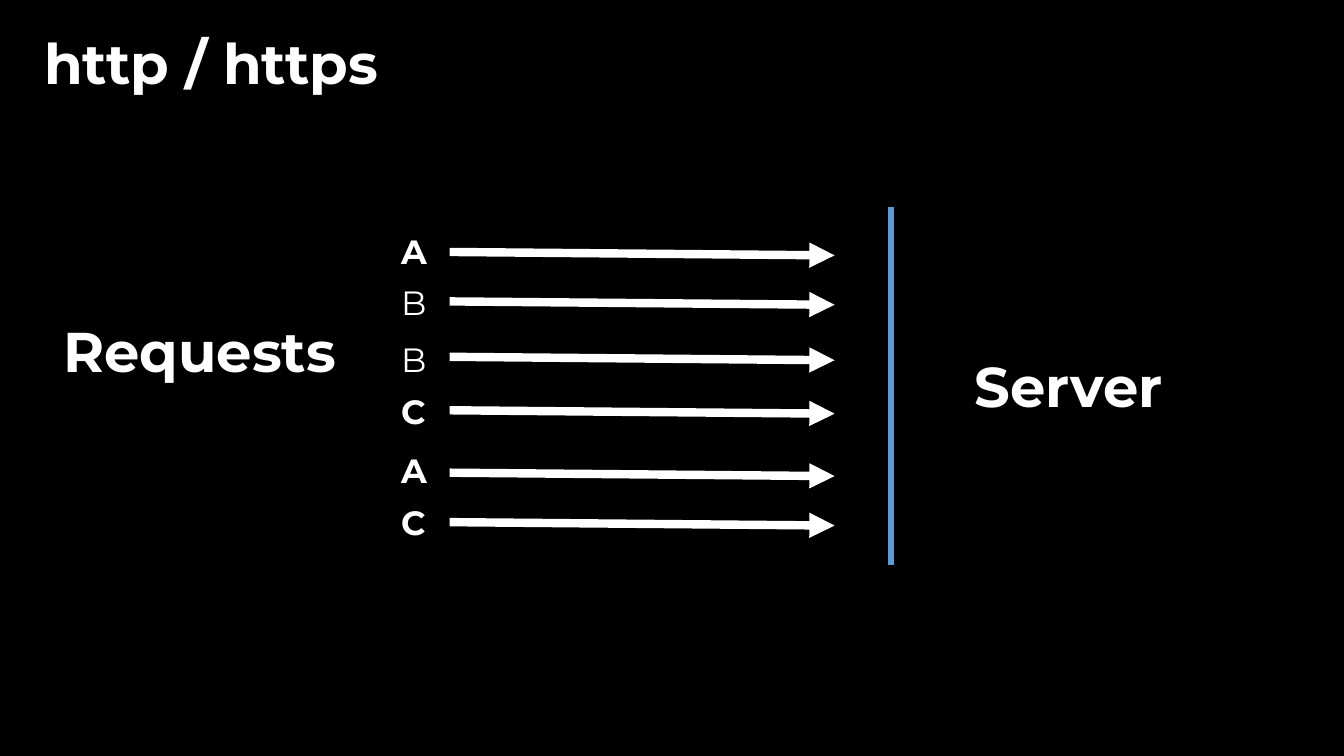
from dataclasses import dataclass

from lxml import etree
from pptx import Presentation, util as u
from pptx.dml.color import RGBColor
from pptx.enum import shapes, text
from pptx.oxml import ns


@dataclass(frozen=True)
class Theme:
    """Colours, font and sizes used on the slide."""
    background: RGBColor = RGBColor(0, 0, 0)
    ink: RGBColor = RGBColor(255, 255, 255)
    wall: RGBColor = RGBColor(0x5B, 0x9B, 0xD5)
    font: str = "Montserrat"
    heading: float = 40
    label: float = 24
    arrow: float = 6
    divider: float = 4.5


theme = Theme()
deck = Presentation()
deck.slide_width, deck.slide_height = u.Inches(13.333), u.Inches(7.5)
slide = deck.slides.add_slide(deck.slide_layouts[6])
slide.background.fill.solid()
slide.background.fill.fore_color.rgb = theme.background

# The grid divides the slide into 100 columns and 100 rows.
column, row = deck.slide_width / 100, deck.slide_height / 100


def write(words, left, top, width, height, size, bold=True):
    """Place one line of text on the grid."""
    box = slide.shapes.add_textbox(
        round(left * column), round(top * row), round(width * column), round(height * row))
    frame = box.text_frame
    frame.word_wrap = True
    frame.auto_size = text.MSO_AUTO_SIZE.SHAPE_TO_FIT_TEXT
    run = frame.paragraphs[0].add_run()
    run.text = words
    run.font.name, run.font.size, run.font.bold = theme.font, u.Pt(size), bold
    run.font.color.rgb = theme.ink


def rule(start, end, color, weight, head=False):
    """Draw a straight line between two grid points, with an optional arrowhead."""
    line = slide.shapes.add_connector(
        shapes.MSO_CONNECTOR.STRAIGHT,
        round(start[0] * column), round(start[1] * row),
        round(end[0] * column), round(end[1] * row))
    line.line.color.rgb, line.line.width = color, u.Pt(weight)
    properties = line._element.spPr
    if head:
        etree.SubElement(properties.find(ns.qn("a:ln")), ns.qn("a:tailEnd"), type="triangle")
    etree.SubElement(properties, ns.qn("a:effectLst"))


headings = [
    ("http / https", 2.55, 3.07, 28.57),
    ("Requests", 3.98, 41.2, 28.57),
    ("Server", 71.78, 45.87, 18.9),
]
for words, left, top, width in headings:
    write(words, left, top, width, 10.27, theme.heading)

# Each request: name, bold, label top, arrow start row.
requests = [
    ("A", True, 29.87, 33.33),
    ("B", False, 36.67, 39.87),
    ("B", False, 44.13, 47.2),
    ("C", True, 51.07, 54.27),
    ("A", True, 58.8, 62.53),
    ("C", True, 65.73, 69.07),
]
label_left, arrow_left, arrow_right, arrow_drop = 29.1, 33.45, 62.1, 0.45
for name, bold, label_top, arrow_row in requests:
    write(name, label_left, label_top, arrow_left - label_left, 6.67, theme.label, bold)
    rule((arrow_left, arrow_row), (arrow_right, arrow_row + arrow_drop),
         theme.ink, theme.arrow, head=True)

server_edge = 66.3
rule((server_edge, 27.33), (server_edge, 74.8), theme.wall, theme.divider)

deck.save("out.pptx")
